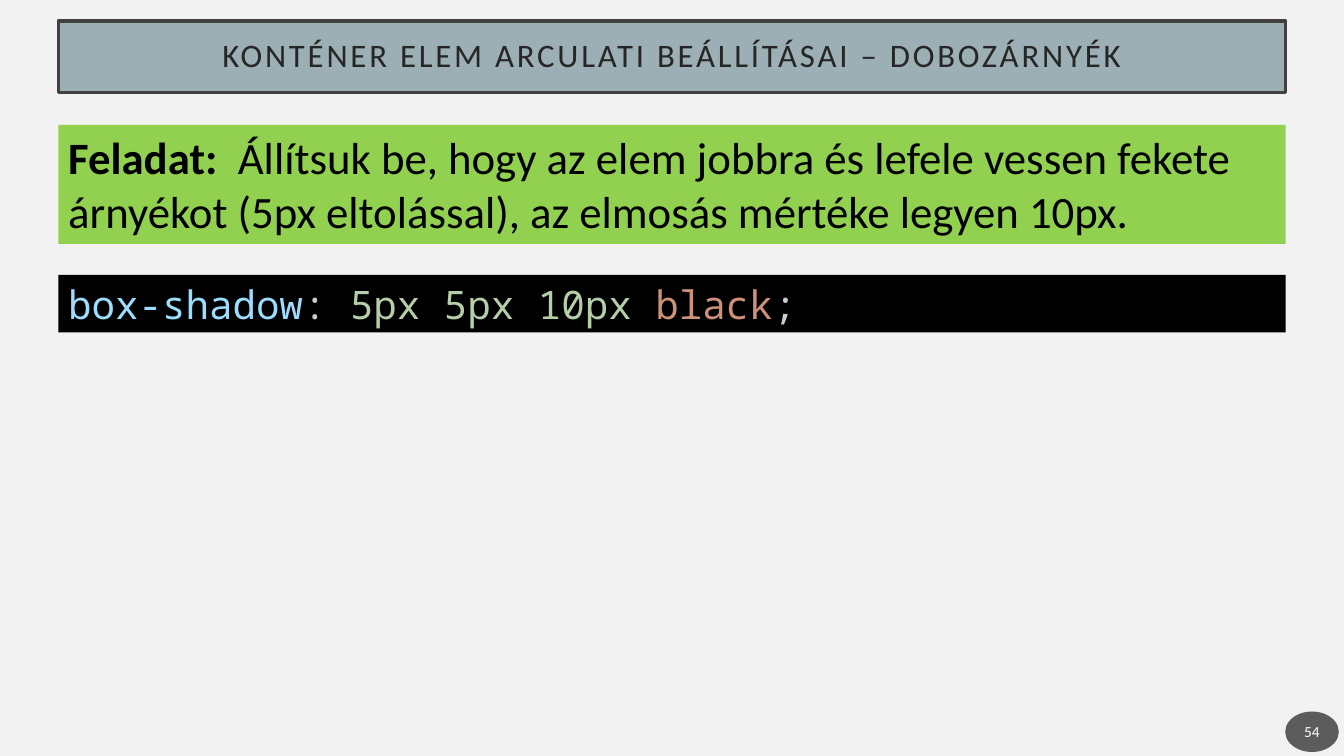
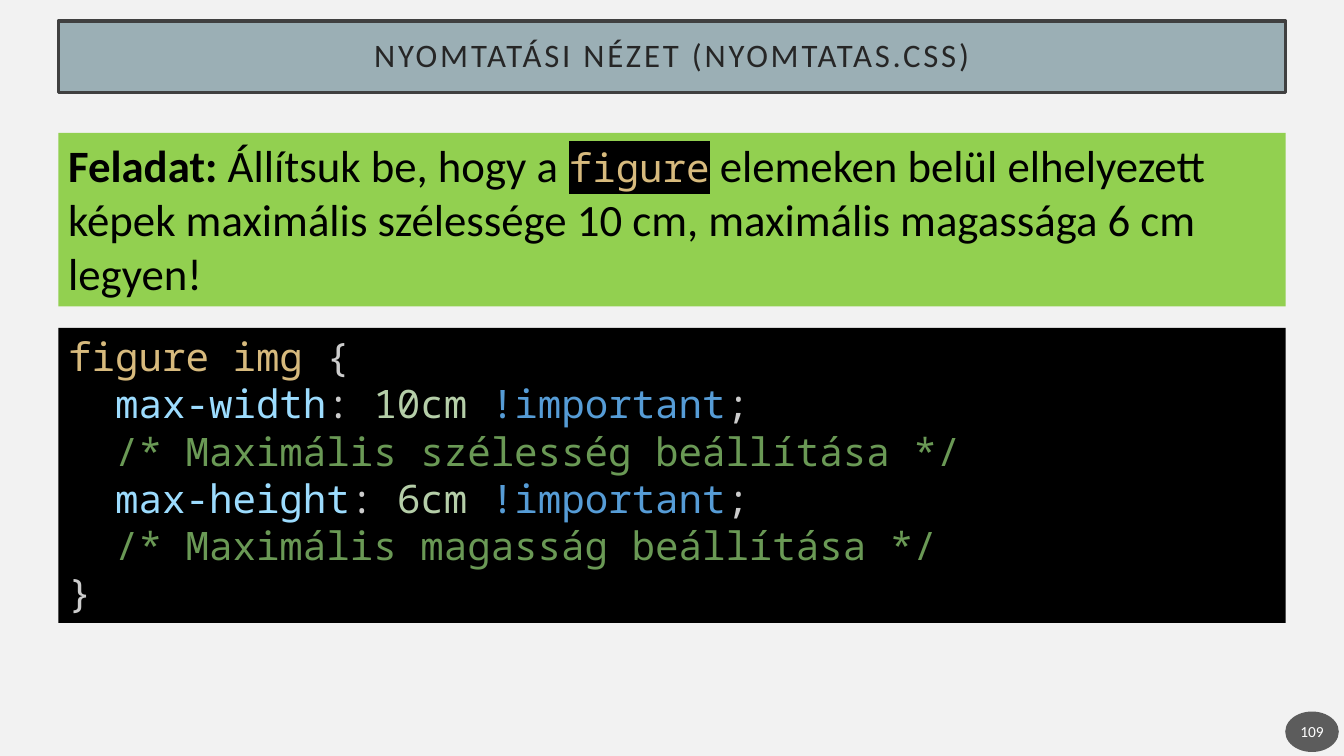
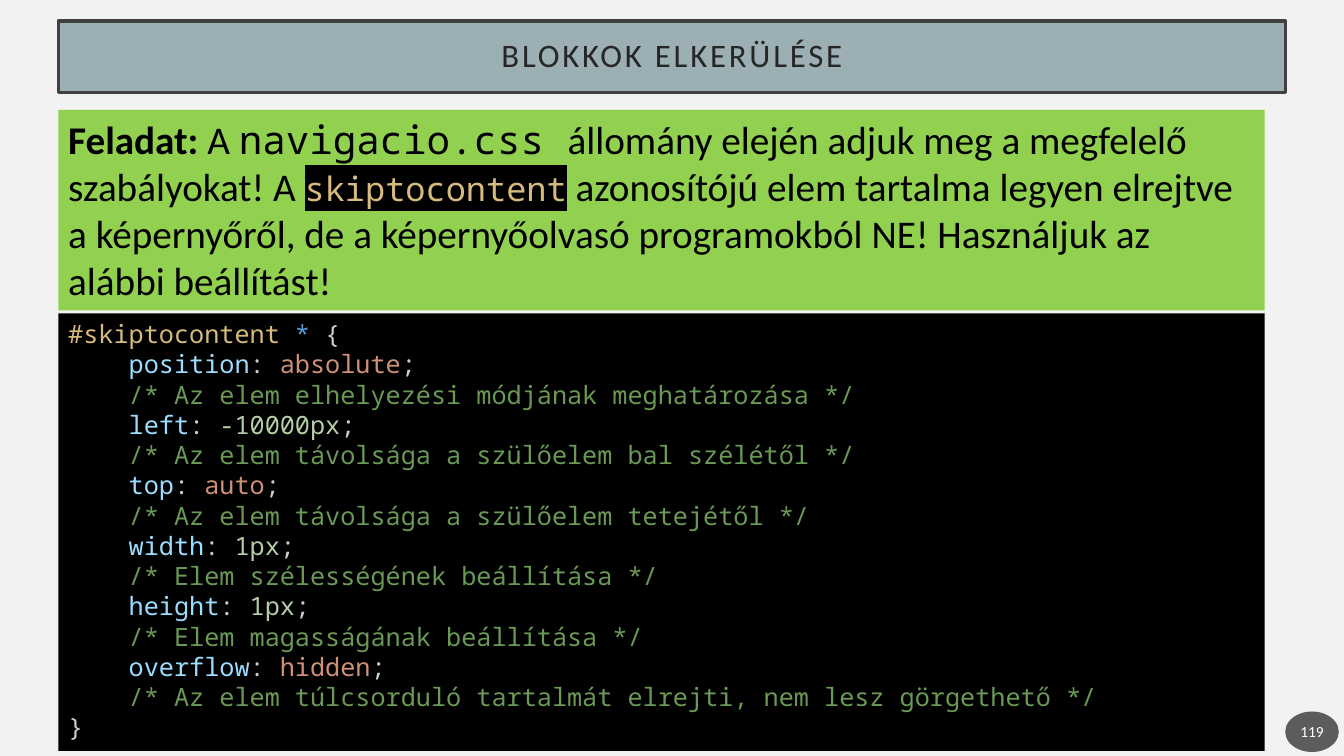
"""Build three CSS exercise slides, each with a task box and its code solution."""
from dataclasses import dataclass, field

from lxml import etree
from pptx import Presentation
from pptx import util as u
from pptx.dml.color import RGBColor
from pptx.enum import shapes, text
from pptx.oxml.ns import qn


@dataclass
class Theme:
    sans: str = "Calibri"
    mono: str = "Noto Sans Mono"
    background: str = "F2F2F2"
    title_fill: str = "9BAFB5"
    title_line: str = "404040"
    task_fill: str = "92D050"
    code_fill: str = "000000"
    badge_fill: str = "1D1D1D"
    badge_alpha: int = 70
    title_size: float = 23.4
    badge_size: float = 11
    chip_step: int = 4
    ink: dict = field(default_factory=lambda: {
        "title": "262626", "badge": "FFFFFF",
        "plain": "000000", "bold": "000000", "file": "000000", "chip": "D7BA7D",
        "selector": "D7BA7D", "property": "9CDCFE", "number": "B5CEA8",
        "value": "CE9178", "keyword": "569CD6", "comment": "6A9955", "mark": "CCCCCC"})


T = Theme()
SANS_KINDS = ("title", "badge", "plain", "bold")
LEFT = 1.47
WIDE, NARROW = 30.93, 30.4


def add_box(s, shape, at, fill, lines, size, align=text.PP_ALIGN.LEFT):
    sp = s.shapes.add_shape(shape, *[u.Cm(v) for v in at])
    sp.shadow.inherit = False
    sp.fill.solid()
    sp.fill.fore_color.rgb = RGBColor.from_string(fill)
    sp.line.fill.background()
    tf = sp.text_frame
    tf.word_wrap = True
    tf.vertical_anchor = text.MSO_ANCHOR.TOP
    for i, line in enumerate(lines):
        p = tf.add_paragraph() if i else tf.paragraphs[0]
        p.alignment = align
        for kind, words in line:
            r = p.add_run()
            r.text = words
            r.font.size = u.Pt(size - T.chip_step if kind == "chip" else size)
            r.font.bold = kind == "bold"
            r.font.color.rgb = RGBColor.from_string(T.ink[kind])
            r.font.name = T.sans if kind in SANS_KINDS else T.mono
            if kind == "chip":
                mark = etree.Element(qn("a:highlight"))
                etree.SubElement(mark, qn("a:srgbClr"), val=T.code_fill)
                r.font._element.find(qn("a:solidFill")).addnext(mark)
    return sp


SLIDES = [
    dict(
        title="KONTÉNER ELEM ARCULATI BEÁLLÍTÁSAI – DOBOZÁRNYÉK", number="54",
        width=WIDE, task_at=(3.15, 3), code_at=(6.93, 1.45), task_size=32, code_size=28,
        task=[("bold", "Feladat: "),
              ("plain", " Állítsuk be, hogy az elem jobbra és lefele vessen fekete árnyékot "
                        "(5px eltolással), az elmosás mértéke legyen 10px.")],
        selector=[], indent="",
        rules=[("box-shadow", [("number", "5px 5px 10px "), ("value", "black")], "")]),
    dict(
        title="NYOMTATÁSI NÉZET (NYOMTATAS.CSS)", number="109",
        width=WIDE, task_at=(3.35, 4.37), code_at=(8.26, 7.44), task_size=32, code_size=28,
        task=[("bold", "Feladat: "), ("plain", "Állítsuk be, hogy a "), ("chip", "figure"),
              ("plain", " elemeken belül elhelyezett képek maximális szélessége 10 cm, "
                        "maximális magassága 6 cm legyen!")],
        selector=[("selector", "figure img")], indent="  ",
        rules=[("max-width", [("number", "10cm "), ("keyword", "!important")],
                "Maximális szélesség beállítása"),
               ("max-height", [("number", "6cm "), ("keyword", "!important")],
                "Maximális magasság beállítása")]),
    dict(
        title="BLOKKOK ELKERÜLÉSE", number="119",
        width=NARROW, task_at=(2.77, 5.05), code_at=(7.9, 11.02), task_size=28, code_size=18,
        task=[("bold", "Feladat: "), ("plain", "A "), ("file", "navigacio.css "),
              ("plain", "állomány elején adjuk meg a megfelelő szabályokat! A "),
              ("chip", "skiptocontent"),
              ("plain", " azonosítójú elem tartalma legyen elrejtve a képernyőről, de a "
                        "képernyőolvasó programokból NE! Használjuk az alábbi beállítást!")],
        selector=[("selector", "#skiptocontent "), ("keyword", "*")], indent="    ",
        rules=[("position", [("value", "absolute")], "Az elem elhelyezési módjának meghatározása"),
               ("left", [("number", "-10000px")], "Az elem távolsága a szülőelem bal szélétől"),
               ("top", [("value", "auto")], "Az elem távolsága a szülőelem tetejétől"),
               ("width", [("number", "1px")], "Elem szélességének beállítása"),
               ("height", [("number", "1px")], "Elem magasságának beállítása"),
               ("overflow", [("value", "hidden")],
                "Az elem túlcsorduló tartalmát elrejti, nem lesz görgethető")]),
]

prs = Presentation()
prs.slide_width, prs.slide_height = u.Cm(33.87), u.Cm(19.05)
RECT, OVAL = shapes.MSO_SHAPE.RECTANGLE, shapes.MSO_SHAPE.OVAL
CENTER = text.PP_ALIGN.CENTER

for d in SLIDES:
    s = prs.slides.add_slide(prs.slide_layouts[6])
    s.background.fill.solid()
    s.background.fill.fore_color.rgb = RGBColor.from_string(T.background)

    title = add_box(s, RECT, (LEFT, 0.53, WIDE, 1.8), T.title_fill,
                    [[("title", d["title"])]], T.title_size, CENTER)
    title.line.color.rgb = RGBColor.from_string(T.title_line)
    title.line.width = u.Pt(2.5)
    tf = title.text_frame
    tf.vertical_anchor = text.MSO_ANCHOR.MIDDLE
    tf.margin_left = tf.margin_right = tf.margin_top = tf.margin_bottom = u.Cm(0.5)
    p = tf.paragraphs[0]
    p.line_spacing = 0.9
    p.runs[0].font._element.set("spc", "200")

    badge = add_box(s, OVAL, (32.39, 17.93, 1.35, 1.02), T.badge_fill,
                    [[("badge", d["number"])]], T.badge_size, CENTER)
    tint = badge._element.spPr.find(qn("a:solidFill"))[0]
    etree.SubElement(tint, qn("a:alpha"), val=str(T.badge_alpha * 1000))
    tf = badge.text_frame
    tf.vertical_anchor = text.MSO_ANCHOR.MIDDLE
    tf.margin_left = tf.margin_right = u.Cm(0.05)

    code = []
    for name, value, note in d["rules"]:
        code.append([("property", d["indent"] + name), ("mark", ": "), *value, ("mark", ";")])
        if note:
            code.append([("comment", f"{d['indent']}/* {note} */")])
    if d["selector"]:
        code = [[*d["selector"], ("mark", " {")], *code, [("mark", "}")]]

    for (top, height), fill, lines, size in (
            (d["task_at"], T.task_fill, [d["task"]], d["task_size"]),
            (d["code_at"], T.code_fill, code, d["code_size"])):
        sp = add_box(s, RECT, (LEFT, top, d["width"], height), fill, lines, size)
        sp.text_frame.auto_size = text.MSO_AUTO_SIZE.SHAPE_TO_FIT_TEXT

prs.save("out.pptx")
